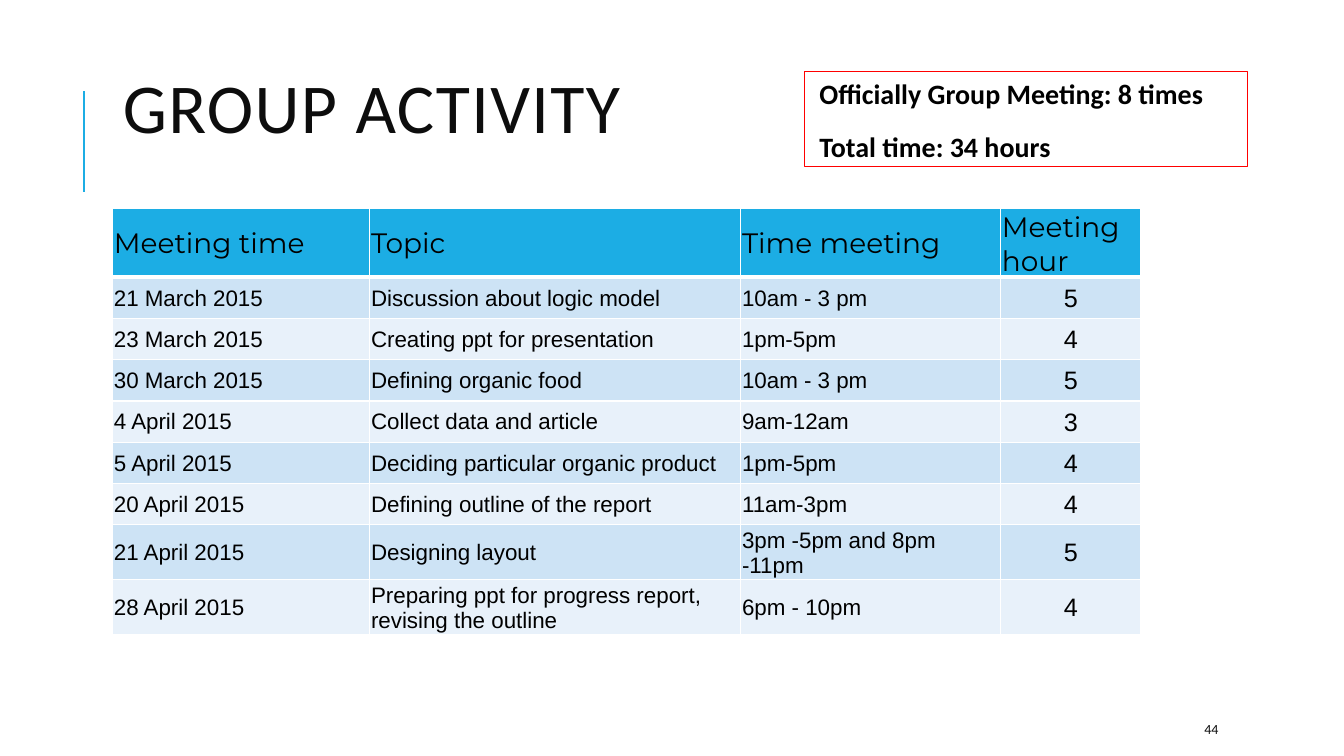
from lxml import etree
from pptx import Presentation
from pptx.dml.color import RGBColor
from pptx.enum.shapes import MSO_CONNECTOR as Connector, MSO_SHAPE as Shape
from pptx.enum.text import MSO_ANCHOR as Anchor, PP_ALIGN as Align
from pptx.oxml.ns import qn
from pptx.util import Cm, Pt

ACCENT = RGBColor(0x1C, 0xAD, 0xE4)
DARK_BAND = RGBColor(0xCD, 0xE3, 0xF5)
LIGHT_BAND = RGBColor(0xE8, 0xF1, 0xFA)
INK = RGBColor(0x0D, 0x0D, 0x0D)
BLACK = RGBColor(0, 0, 0)
WHITE = RGBColor(0xFF, 0xFF, 0xFF)
RED = RGBColor(0xFF, 0, 0)

COLUMN_WIDTHS = (6.48, 9.35, 6.55, 3.53)
ROW_HEIGHT = 1.04
HEADER = ("Meeting time", "Topic", "Time meeting", "Meeting hour")
MEETINGS = (
    ("21 March 2015", "Discussion about logic model", "10am - 3 pm", "5"),
    ("23 March 2015", "Creating ppt for presentation", "1pm-5pm", "4"),
    ("30 March 2015", "Defining organic food", "10am - 3 pm", "5"),
    ("4 April 2015", "Collect data and article", "9am-12am", "3"),
    ("5 April 2015", "Deciding particular organic product", "1pm-5pm", "4"),
    ("20 April 2015", "Defining outline of the report", "11am-3pm", "4"),
    ("21 April 2015", "Designing layout", "3pm -5pm and 8pm -11pm", "5"),
    ("28 April 2015", "Preparing ppt for progress report, revising the outline",
     "6pm - 10pm", "4"),
)
SUMMARY = ("Officially Group Meeting: 8 times", "Total time: 34 hours")


def style_text(para, size, name, color, bold=False):
    """Format every run of a paragraph."""
    for span in para.runs:
        font = span.font
        font.size, font.name, font.bold = Pt(size), name, bold
        font.color.rgb = color


def add_title(page, text):
    """Place and format the title placeholder."""
    title = page.shapes.title
    title.left, title.top, title.width, title.height = (
        Cm(2.84), Cm(1.63), Cm(27), Cm(2.46))
    frame = title.text_frame
    frame.text = text
    frame.vertical_anchor = Anchor.MIDDLE
    para = frame.paragraphs[0]
    para.alignment, para.line_spacing = Align.LEFT, 0.8
    style_text(para, 50, "Calibri", INK)
    para.runs[0].font._element.set("spc", "100")


def add_accent_line(page):
    """Draw the vertical line beside the title."""
    line = page.shapes.add_connector(
        Connector.STRAIGHT, Cm(2.11), Cm(4.83), Cm(2.11), Cm(2.29))
    line.line.color.rgb, line.line.width = ACCENT, Pt(1.5)
    etree.SubElement(line._element.spPr, qn("a:effectLst"))


def add_page_number(page, number):
    """Write the page number at the bottom right."""
    box = page.shapes.add_textbox(Cm(30.1), Cm(17.98), Cm(2.69), Cm(0.76))
    frame = box.text_frame
    frame.word_wrap, frame.vertical_anchor = True, Anchor.MIDDLE
    frame.text = number
    style_text(frame.paragraphs[0], 10, "Calibri", INK)


def set_borders(cell, top, bottom):
    """Give a cell white borders with the given top and bottom widths."""
    properties = cell._tc.get_or_add_tcPr()
    for side, width in (("L", 1), ("R", 1), ("T", top), ("B", bottom)):
        line = etree.SubElement(properties, qn(f"a:ln{side}"), w=str(Pt(width)))
        fill = etree.SubElement(line, qn("a:solidFill"))
        etree.SubElement(fill, qn("a:srgbClr"), val=str(WHITE))


def fill_cell(cell, text, row, is_hour):
    """Write and format one table cell."""
    set_borders(cell, 3 if row == 1 else 1, 3 if row == 0 else 1)
    cell.fill.solid()
    cell.margin_left = cell.margin_right = cell.margin_top = Cm(0.03)
    cell.margin_bottom = 0
    cell.vertical_anchor = Anchor.MIDDLE
    cell.text = text
    para = cell.text_frame.paragraphs[0]
    if row == 0:
        cell.fill.fore_color.rgb = ACCENT
        style_text(para, 20, "Montserrat", BLACK)
    else:
        cell.fill.fore_color.rgb = DARK_BAND if row % 2 else LIGHT_BAND
        para.alignment = Align.CENTER if is_hour else Align.LEFT
        style_text(para, 18 if is_hour else 16, "Arial", BLACK)


def add_meeting_table(page):
    """Build the table of meetings."""
    rows = (HEADER,) + MEETINGS
    table = page.shapes.add_table(
        len(rows), len(HEADER), Cm(2.84), Cm(5.26),
        Cm(sum(COLUMN_WIDTHS)), Cm(ROW_HEIGHT * len(rows))).table
    for column, width in zip(table.columns, COLUMN_WIDTHS):
        column.width = Cm(width)
    for row, texts in enumerate(rows):
        for column, text in enumerate(texts):
            fill_cell(table.cell(row, column), text, row,
                      column == len(HEADER) - 1)


def add_summary(page):
    """Add the red framed box with the totals."""
    box = page.shapes.add_shape(
        Shape.RECTANGLE, Cm(20.27), Cm(1.8), Cm(11.18), Cm(2.39))
    box.shadow.inherit = False
    box.fill.background()
    box.line.color.rgb, box.line.width = RED, Pt(0.75)
    frame = box.text_frame
    frame.word_wrap, frame.vertical_anchor = True, Anchor.TOP
    frame.margin_left = frame.margin_right = Cm(0.13)
    frame.margin_top = frame.margin_bottom = Cm(0.13)
    frame.text = "\n".join(SUMMARY)
    for index, para in enumerate(frame.paragraphs):
        para.level, para.alignment = 1, Align.LEFT
        para.space_before, para.space_after = Pt(10 if index else 0), Pt(4)
        properties = para._p.get_or_add_pPr()
        properties.set("marL", str(Cm(0.25)))
        properties.set("indent", "0")
        style_text(para, 20, "Calibri", BLACK, bold=True)


def main():
    """Build and save the slide."""
    deck = Presentation()
    deck.slide_width, deck.slide_height = Cm(33.87), Cm(19.05)
    page = deck.slides.add_slide(deck.slide_layouts.get_by_name("Title Only"))
    add_accent_line(page)
    add_title(page, "GROUP ACTIVITY")
    add_page_number(page, "44")
    add_meeting_table(page)
    add_summary(page)
    deck.save("out.pptx")


if __name__ == "__main__":
    main()
